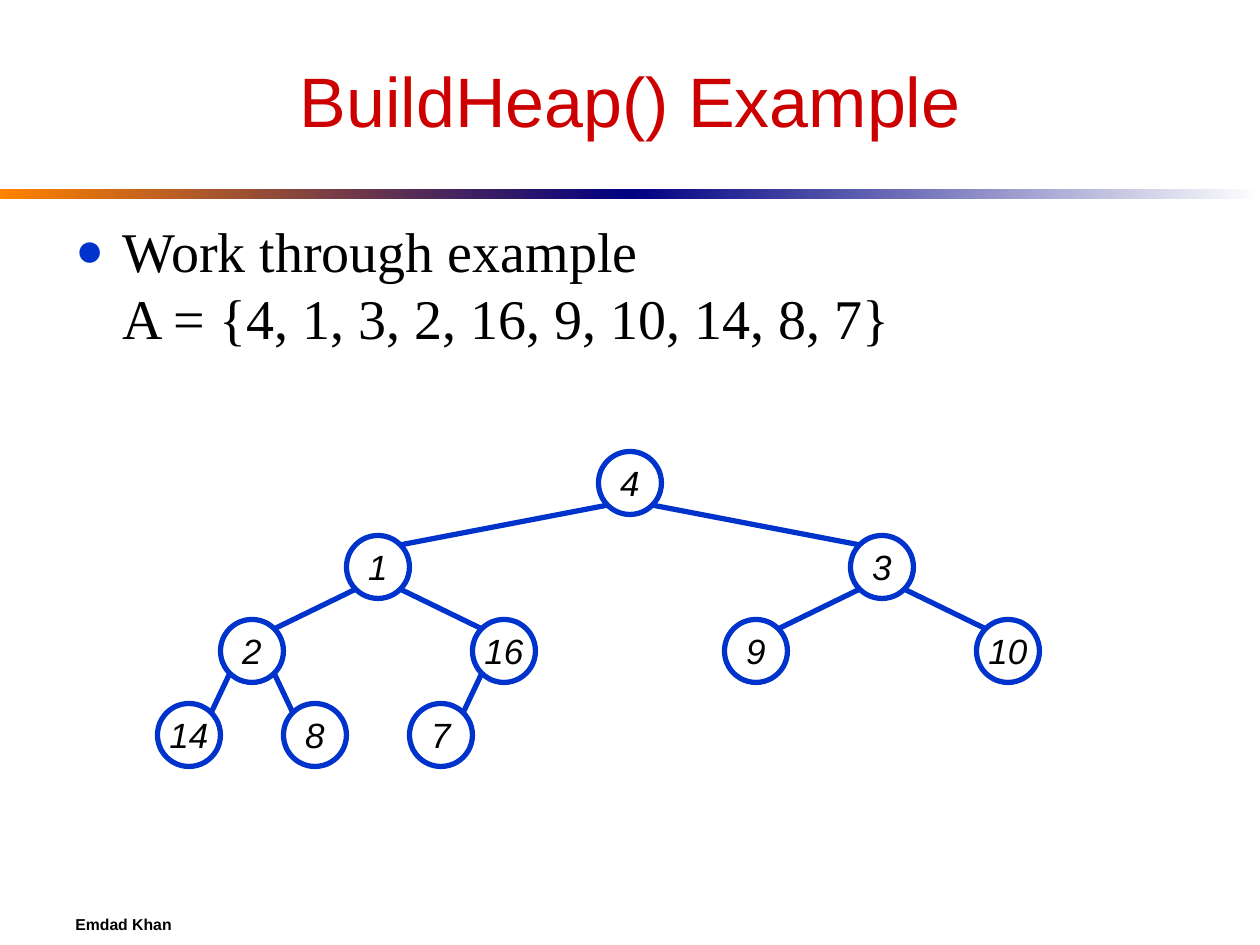
import pptx
import pptx.util
import pptx.dml.color
import pptx.enum.shapes
import pptx.enum.text
import pptx.oxml.ns
import lxml.etree

BLUE = "0033CC"
NAVY = "000082"
WHITE = "FFFFFF"
BLACK = "000000"
HEAP = [4, 1, 3, 2, 16, 9, 10, 14, 8, 7]
NODE = 60
DIAGONAL = 21
ANCHOR = pptx.enum.text.MSO_ANCHOR
ALIGN = pptx.enum.text.PP_ALIGN
SHAPE = pptx.enum.shapes.MSO_SHAPE


def px(n):
    return pptx.util.Emu(n * 914400 // 120)


def rgb(value):
    return pptx.dml.color.RGBColor.from_string(value)


def child(parent, tag, **attributes):
    return lxml.etree.SubElement(parent, pptx.oxml.ns.qn(tag), attributes)


def add_run(p, text, size, font="Arial", color=BLACK, bold=False, italic=False):
    r = p.add_run()
    r.text = text
    r.font.size = pptx.util.Pt(size)
    r.font.name = font
    r.font.color.rgb = rgb(color)
    r.font.bold = bold
    r.font.italic = italic


def add_box(s, x, y, w, h, anchor=ANCHOR.MIDDLE, align=ALIGN.LEFT):
    tf = s.shapes.add_textbox(px(x), px(y), px(w), px(h)).text_frame
    tf.word_wrap = True
    tf.vertical_anchor = anchor
    p = tf.paragraphs[0]
    p.alignment = align
    return p


def add_bar(s, x, start, end):
    sp = s.shapes.add_shape(SHAPE.RECTANGLE, px(x), px(180), px(600), px(10))
    sp.shadow.inherit = False
    sp.line.fill.background()
    sp.fill.gradient()
    sp.fill.gradient_angle = 0
    for stop, color in zip(sp.fill.gradient_stops, (start, end)):
        stop.color.rgb = rgb(color)


def add_bullet(p):
    p.space_before = pptx.util.Pt(8)
    pPr = p._p.get_or_add_pPr()
    pPr.set("marL", str(px(45)))
    pPr.set("indent", str(-px(45)))
    child(child(pPr, "a:buClr"), "a:srgbClr", val=BLUE)
    child(pPr, "a:buSzPct", val="85000")
    child(pPr, "a:buFont", typeface="Arial")
    child(pPr, "a:buChar", char="●")


def node_center(index):
    level = (index + 1).bit_length() - 1
    count = 2 ** level
    column = index + 1 - count
    return 120 + 960 * (2 * column + 1) // (2 * count), 460 + 80 * level


def add_node(s, index, value):
    x, y = node_center(index)
    sp = s.shapes.add_shape(SHAPE.OVAL, px(x - NODE // 2), px(y - NODE // 2), px(NODE), px(NODE))
    sp.shadow.inherit = False
    sp.fill.solid()
    sp.fill.fore_color.rgb = rgb(WHITE)
    sp.line.color.rgb = rgb(BLUE)
    sp.line.width = pptx.util.Pt(3)
    tf = sp.text_frame
    tf.word_wrap = False
    tf.vertical_anchor = ANCHOR.MIDDLE
    p = tf.paragraphs[0]
    p.alignment = ALIGN.CENTER
    add_run(p, str(value), 20, italic=True)


def add_edge(s, index):
    x1, y1 = node_center((index - 1) // 2)
    x2, y2 = node_center(index)
    dx = DIAGONAL if x2 > x1 else -DIAGONAL
    line = s.shapes.add_connector(
        pptx.enum.shapes.MSO_CONNECTOR.STRAIGHT,
        px(x1 + dx), px(y1 + DIAGONAL), px(x2 - dx), px(y2 - DIAGONAL))
    line.line.color.rgb = rgb(BLUE)
    line.line.width = pptx.util.Pt(3)
    child(line._element.spPr, "a:effectLst")


def main():
    prs = pptx.Presentation()
    prs.slide_width, prs.slide_height = px(1200), px(900)
    s = prs.slides.add_slide(prs.slide_layouts[6])

    add_bar(s, 0, "FF8200", NAVY)
    add_bar(s, 600, NAVY, WHITE)

    add_run(add_box(s, 60, 860, 1080, 40), "Emdad Khan", 9, bold=True)
    title = add_box(s, 60, 30, 1080, 130, align=ALIGN.CENTER)
    add_run(title, "BuildHeap() Example", 40, color="CC0000")

    p = add_box(s, 60, 200, 1080, 570, anchor=ANCHOR.TOP)
    add_bullet(p)
    add_run(p, "Work through example", 32, "Times New Roman")
    p.add_line_break()
    values = ", ".join(str(value) for value in HEAP)
    add_run(p, f"A = {{{values}}}", 32, "Times New Roman")

    for index, value in enumerate(HEAP):
        add_node(s, index, value)
    for index in range(1, len(HEAP)):
        add_edge(s, index)

    prs.save("out.pptx")


if __name__ == "__main__":
    main()
